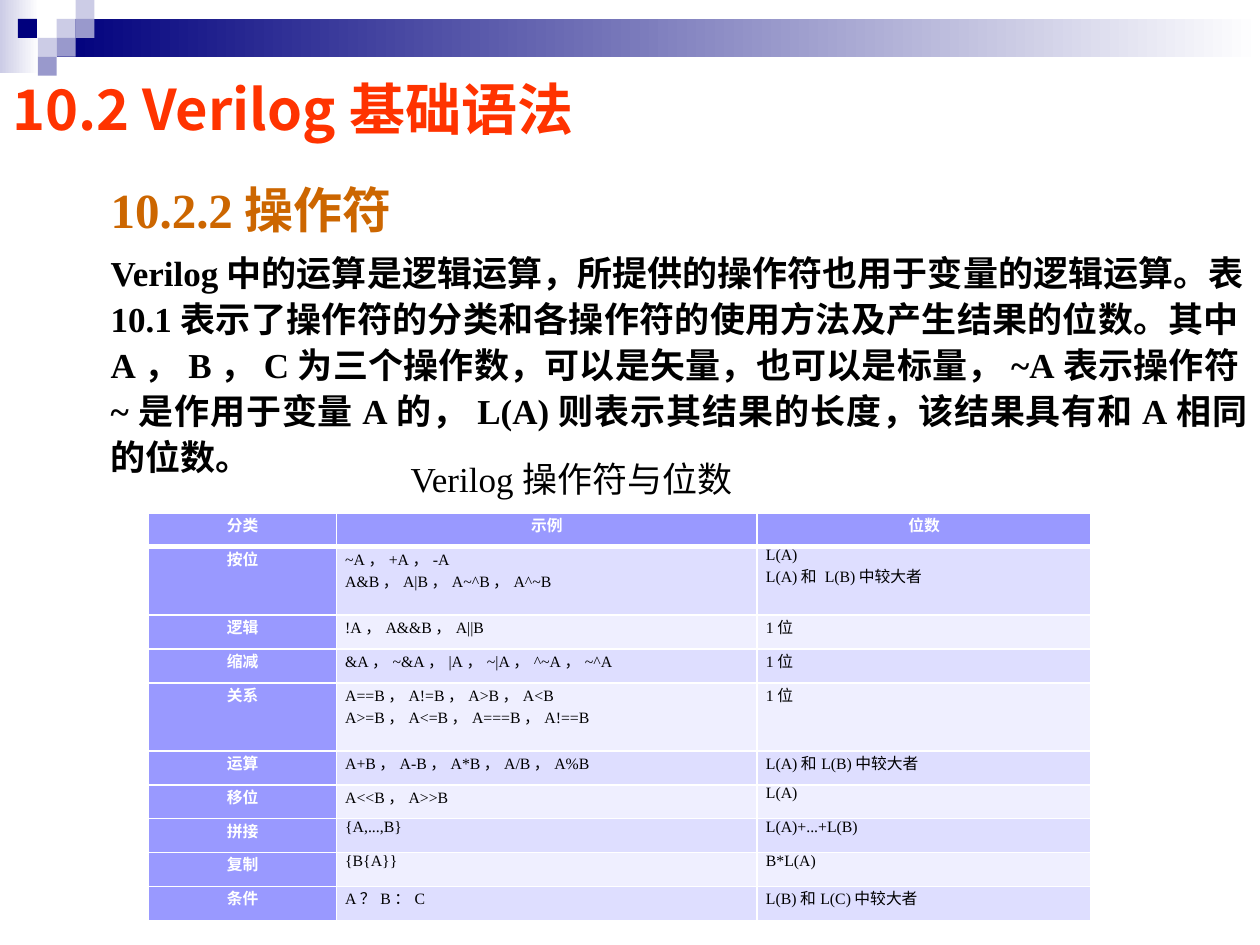
from lxml.etree import SubElement
from pptx import Presentation
from pptx.dml.color import RGBColor
from pptx.enum.shapes import MSO_SHAPE
from pptx.enum.text import PP_ALIGN
from pptx.oxml.ns import qn
from pptx.util import Inches, Pt

SERIF = "Times New Roman"
SANS = "Noto Sans CJK SC"
NAVY, PALE, MID, WHITE, BLACK = "00007D", "CCCCE6", "9999CC", "FFFFFF", "000000"
HEADER, BANDS = "9999FF", ("DEDEFF", "EFEFFF")


def color(hex_string):
    return RGBColor.from_string(hex_string)


def write(para, text, font=SERIF, size=20, fill=BLACK, bold=False,
          align=PP_ALIGN.LEFT, line=None, before=0, after=0):
    para.alignment = align
    para.space_before, para.space_after = Pt(before), Pt(after)
    if line:
        para.line_spacing = line
    span = para.add_run()
    span.text = text
    span.font.name, span.font.size, span.font.bold = font, Pt(size), bold
    span.font.color.rgb = color(fill)
    east_asian = SubElement(span.font._element, qn("a:ea"))
    east_asian.set("typeface", SANS)


class SlideBuilder:
    def __init__(self, slide):
        self.slide = slide

    def rectangle(self, left, top, width, height, fill, fade_to=None):
        shape = self.slide.shapes.add_shape(
            MSO_SHAPE.RECTANGLE, Inches(left), Inches(top), Inches(width), Inches(height))
        shape.shadow.inherit = False
        shape.line.fill.background()
        if fade_to:
            shape.fill.gradient()
            shape.fill.gradient_angle = 0
            for stop, tone in zip(shape.fill.gradient_stops, (fill, fade_to)):
                stop.color.rgb = color(tone)
        else:
            shape.fill.solid()
            shape.fill.fore_color.rgb = color(fill)

    def text(self, left, top, width, height, paragraphs):
        box = self.slide.shapes.add_textbox(
            Inches(left), Inches(top), Inches(width), Inches(height))
        frame = box.text_frame
        frame.word_wrap = True
        for index, (text, style) in enumerate(paragraphs):
            para = frame.add_paragraph() if index else frame.paragraphs[0]
            write(para, text, **style)

    def table(self, left, top, widths, heights, rows):
        table = self.slide.shapes.add_table(
            len(rows), len(widths), Inches(left), Inches(top),
            Inches(sum(widths)), Inches(sum(heights))).table
        for column, width in zip(table.columns, widths):
            column.width = Inches(width)
        for table_row, height in zip(table.rows, heights):
            table_row.height = Inches(height)
        for row, texts in enumerate(rows):
            for column, text in enumerate(texts):
                self.cell(table.cell(row, column), text, row, column)

    def cell(self, cell, text, row, column):
        heading = row == 0 or column == 0
        cell.margin_left = cell.margin_right = Inches(0.07)
        cell.margin_top = cell.margin_bottom = 0
        self.borders(cell, top=3 if row == 1 else 1, bottom=3 if row == 0 else 1)
        cell.fill.solid()
        cell.fill.fore_color.rgb = color(HEADER if heading else BANDS[(row - 1) % 2])
        for index, line in enumerate(text.split("\n")):
            frame = cell.text_frame
            para = frame.add_paragraph() if index else frame.paragraphs[0]
            write(para, line, size=9, bold=heading, fill=WHITE if heading else BLACK,
                  align=PP_ALIGN.CENTER if heading else PP_ALIGN.JUSTIFY)

    def borders(self, cell, top, bottom):
        properties = cell._tc.get_or_add_tcPr()
        for side, points in (("L", 1), ("R", 1), ("T", top), ("B", bottom)):
            edge = SubElement(properties, qn(f"a:ln{side}"), w=str(Pt(points)))
            solid = SubElement(edge, qn("a:solidFill"))
            SubElement(solid, qn("a:srgbClr"), val=WHITE)


def main():
    deck = Presentation()
    deck.slide_width, deck.slide_height = Inches(10), Inches(7.5)
    page = SlideBuilder(deck.slides.add_slide(deck.slide_layouts[6]))

    # Banner with its mosaic of squares
    page.rectangle(0, 0, 0.31, 0.58, PALE, fade_to=WHITE)
    page.rectangle(0.45, 0.15, 9.55, 0.3, NAVY, fade_to=WHITE)
    side = 0.15
    for column, row, fill in ((3, 1, PALE), (4, 0, PALE), (4, 1, MID), (2, 2, PALE),
                              (0.95, 1, NAVY), (3, 2, MID), (2, 3, MID)):
        page.rectangle(column * side, row * side, side, side, fill)

    # Title and body
    page.text(0, 0.54, 5.93, 0.64, [
        ("10.2 Verilog基础语法", dict(font=SANS, size=32, fill="FF3300", bold=True))])
    page.text(0.78, 1.33, 9.22, 2.18, [
        ("10.2.2操作符", dict(size=28, fill="CC6600", bold=True, line=1.1, after=2.8)),
        ("Verilog中的运算是逻辑运算，所提供的操作符也用于变量的逻辑运算。"
         "表10.1表示了操作符的分类和各操作符的使用方法及产生结果的位数。"
         "其中A，B，C为三个操作数，可以是矢量，也可以是标量，"
         "~A表示操作符~是作用于变量A的，L(A)则表示其结果的长度，"
         "该结果具有和A相同的位数。",
         dict(bold=True, align=PP_ALIGN.JUSTIFY, line=1.1, before=2, after=2))])

    # Operator table
    rows = [
        ("分类", "示例", "位数"),
        ("按位", "~A，+A，-A\nA&B，A|B，A~^B，A^~B", "L(A)\nL(A)和 L(B)中较大者"),
        ("逻辑", "!A，A&&B，A||B", "1位"),
        ("缩减", "&A，~&A，|A，~|A，^~A，~^A", "1位"),
        ("关系", "A==B，A!=B，A>B，A<B\nA>=B，A<=B，A===B，A!==B", "1位"),
        ("运算", "A+B，A-B，A*B，A/B，A%B", "L(A)和L(B)中较大者"),
        ("移位", "A<<B，A>>B", "L(A)"),
        ("拼接", "{A,...,B}", "L(A)+...+L(B)"),
        ("复制", "{B{A}}", "B*L(A)"),
        ("条件", "A？B：C", "L(B)和L(C)中较大者"),
    ]
    heights = [0.54 if "\n" in row[1] else 0.27 for row in rows]
    page.table(1.18, 4.07, (1.49, 3.34, 2.65), heights, rows)

    # Table caption
    page.text(3.16, 3.55, 3.69, 0.48, [("Verilog操作符与位数", dict(line=1.1))])

    deck.save("out.pptx")


if __name__ == "__main__":
    main()
